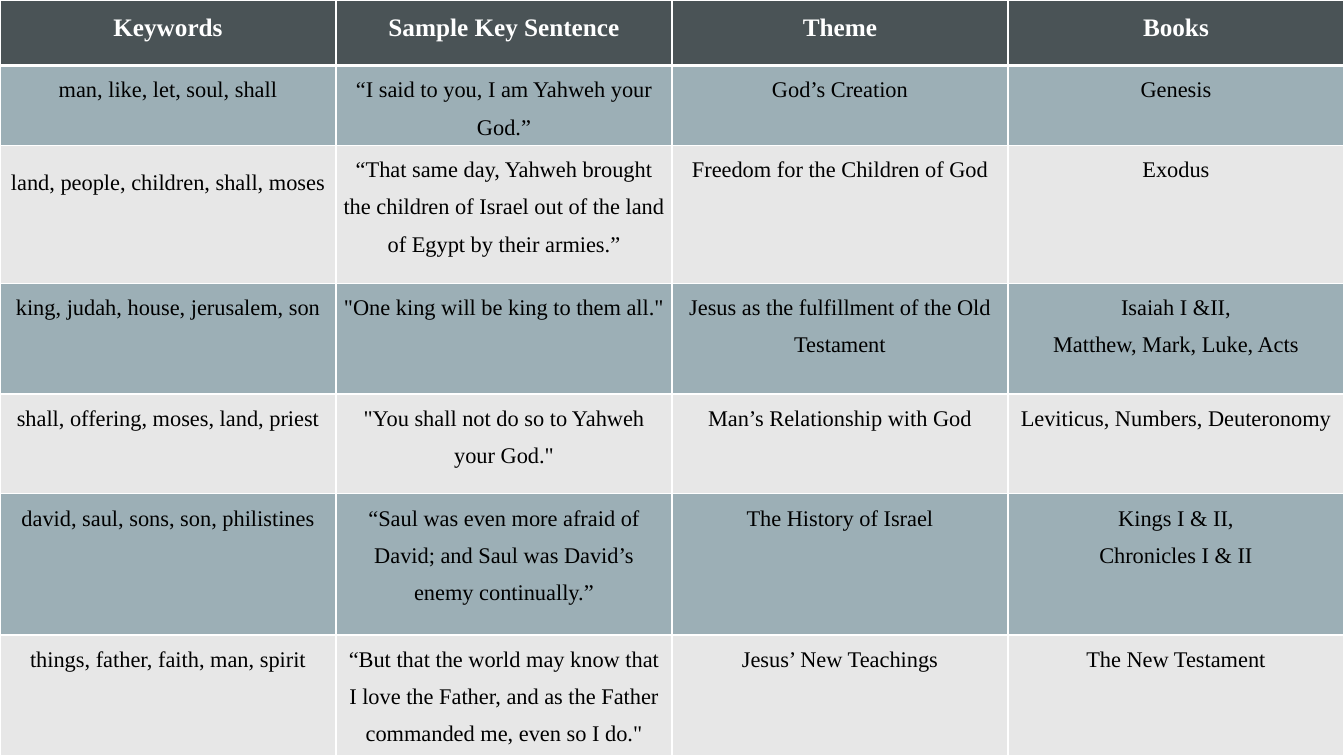
import dataclasses
import pptx
import pptx.dml.color
import pptx.enum.text
import pptx.oxml
import pptx.oxml.ns
import pptx.util


@dataclasses.dataclass(frozen=True)
class Theme:
    font: str = "Times New Roman"
    back: str = "F2F2F2"
    head: str = "4A5356"
    bands: tuple = ("9CAFB6", "E7E7E7")
    light: str = "FFFFFF"
    dark: str = "000000"
    head_size: int = 18
    size: int = 16
    rule: int = 1
    head_rule: int = 3
    spacing: float = 1.5


THEME = Theme()
WIDTH = pptx.util.Inches(13.33)
HEIGHT = pptx.util.Inches(7.5)
SIDE = pptx.util.Inches(0.07)
# Row heights in hundredths of an inch, used as shares of the slide height
SHARES = (65, 79, 137, 110, 99, 140, 120)

# Each line of a cell is one paragraph
ROWS = (
    ("Keywords", "Sample Key Sentence", "Theme", "Books"),
    ("man, like, let, soul, shall",
     "“I said to you, I am Yahweh your God.”",
     "God’s Creation", "Genesis"),
    ("land, people, children, shall, moses",
     "“That same day, Yahweh brought the children of Israel out of the land "
     "of Egypt by their armies.”",
     "Freedom for the Children of God", "Exodus"),
    ("king, judah, house, jerusalem, son",
     '"One king will be king to them all."',
     "Jesus as the fulfillment of the Old Testament",
     "Isaiah I &II,\nMatthew, Mark, Luke, Acts"),
    ("shall, offering, moses, land, priest",
     '"You shall not do so to Yahweh your God."',
     "Man’s Relationship with God", "Leviticus, Numbers, Deuteronomy"),
    ("david, saul, sons, son, philistines",
     "“Saul was even more afraid of David; and Saul was David’s enemy "
     "continually.”",
     "The History of Israel", "Kings I & II,\nChronicles I & II"),
    ("things, father, faith, man, spirit",
     "“But that the world may know that I love the Father, and as the Father "
     'commanded me, even so I do."',
     "Jesus’ New Teachings", "The New Testament"),
)
LOWERED = (2, 0)  # the single-spaced cell that starts one line lower


def tint(hue):
    return pptx.dml.color.RGBColor.from_string(hue)


def set_fill(fill, hue):
    fill.solid()
    fill.fore_color.rgb = tint(hue)


def add_rules(cell, top, bottom):
    """Draw the four cell borders; must run before the cell is filled."""
    widths = {"L": THEME.rule, "R": THEME.rule, "T": top, "B": bottom}
    for side, width in widths.items():
        cell._tc.get_or_add_tcPr().append(pptx.oxml.parse_xml(
            f'<a:ln{side} {pptx.oxml.ns.nsdecls("a")} w="{pptx.util.Pt(width)}">'
            f'<a:solidFill><a:srgbClr val="{THEME.light}"/></a:solidFill>'
            f'</a:ln{side}>'))


def add_text(cell, text, head, spacing):
    frame = cell.text_frame
    for index, line in enumerate(text.split("\n")):
        para = frame.add_paragraph() if index else frame.paragraphs[0]
        para.alignment = pptx.enum.text.PP_ALIGN.CENTER
        para.line_spacing = spacing
        run = para.add_run()
        run.text = line
        run.font.name = THEME.font
        run.font.size = pptx.util.Pt(THEME.head_size if head else THEME.size)
        run.font.bold = head
        run.font.color.rgb = tint(THEME.light if head else THEME.dark)


def fill_cell(cell, row, col, text):
    head = row == 0
    low = (row, col) == LOWERED
    cell.margin_left = cell.margin_right = SIDE
    cell.margin_top = pptx.util.Pt(THEME.size * 1.15) if low else 0
    cell.margin_bottom = 0
    add_rules(cell, THEME.head_rule if row == 1 else THEME.rule,
              THEME.head_rule if head else THEME.rule)
    set_fill(cell.fill, THEME.head if head else THEME.bands[(row - 1) % 2])
    add_text(cell, text, head, 1.0 if low else THEME.spacing)


def add_grid(slide):
    count = len(ROWS[0])
    table = slide.shapes.add_table(
        len(ROWS), count, 0, 0, WIDTH, HEIGHT).table
    for column in table.columns:
        column.width = WIDTH // count
    for row, texts in enumerate(ROWS):
        table.rows[row].height = HEIGHT * SHARES[row] // sum(SHARES)
        for col, text in enumerate(texts):
            fill_cell(table.cell(row, col), row, col, text)


def main():
    deck = pptx.Presentation()
    deck.slide_width, deck.slide_height = WIDTH, HEIGHT
    slide = deck.slides.add_slide(deck.slide_layouts[6])
    set_fill(slide.background.fill, THEME.back)
    add_grid(slide)
    deck.save("out.pptx")


if __name__ == "__main__":
    main()
